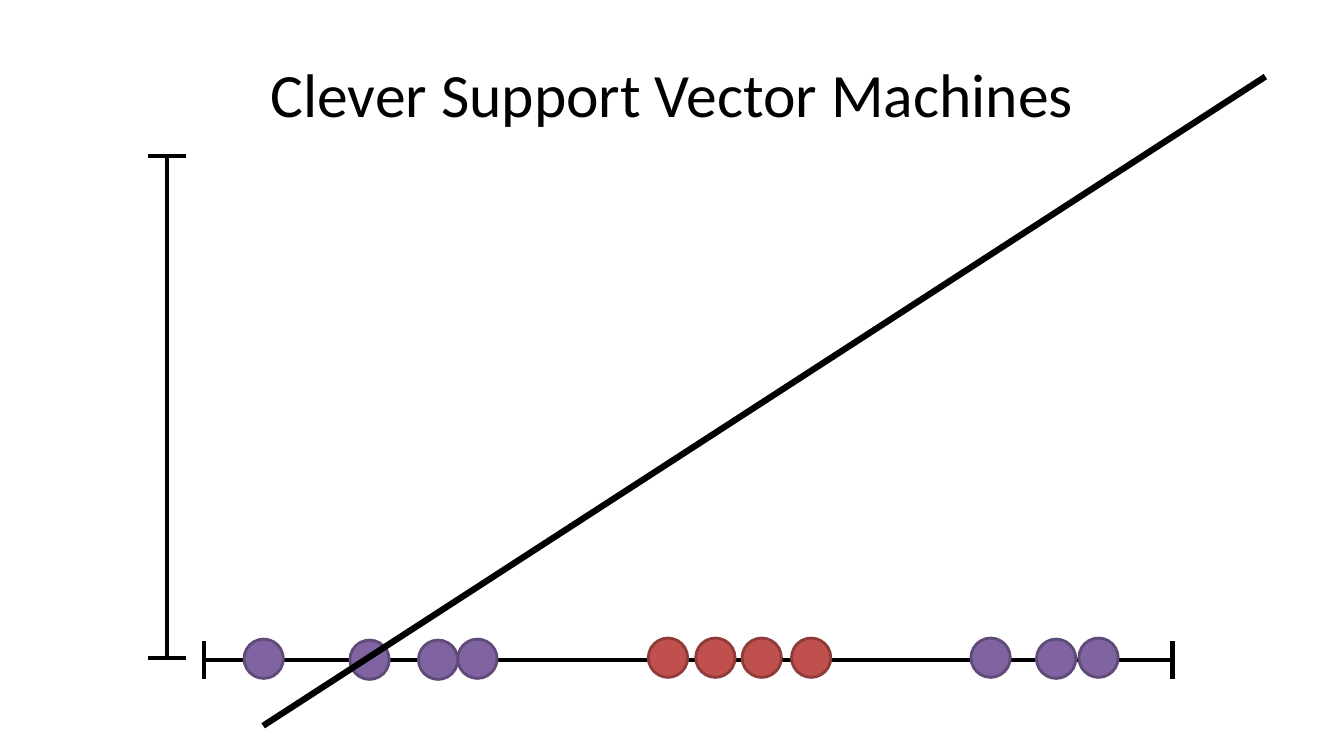
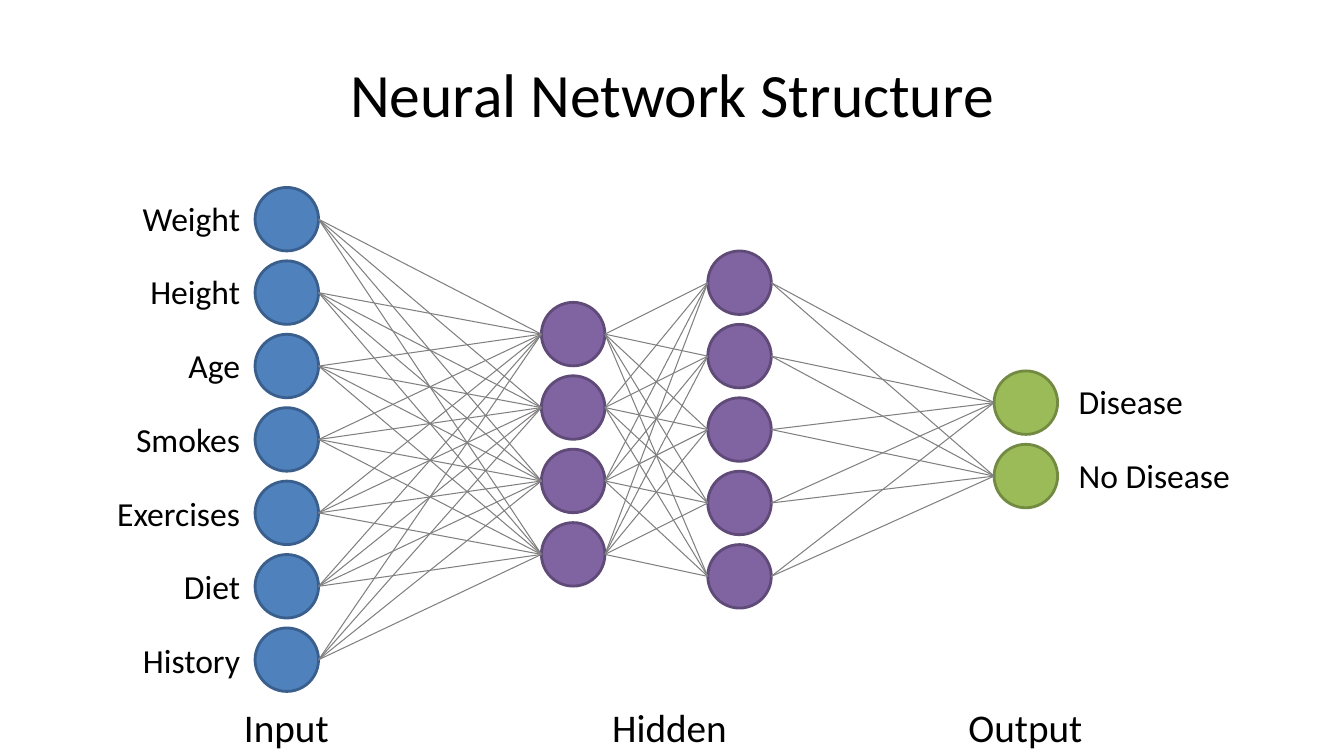
from itertools import product

from lxml import etree
from pptx import Presentation
from pptx.dml.color import RGBColor
from pptx.enum.shapes import MSO_CONNECTOR, MSO_SHAPE
from pptx.enum.text import MSO_ANCHOR, PP_ALIGN
from pptx.oxml.ns import qn
from pptx.util import Inches, Pt

STRAIGHT = MSO_CONNECTOR.STRAIGHT
OVAL = MSO_SHAPE.OVAL
MIDDLE = MSO_ANCHOR.MIDDLE
LEFT, CENTER, RIGHT = PP_ALIGN.LEFT, PP_ALIGN.CENTER, PP_ALIGN.RIGHT

# Shared look
FONT = "Calibri"
BLACK, GRAY = "000000", "808080"
BLUE = ("4F81BD", "3A5F8C")
PURPLE = ("8064A2", "5F4A78")
RED = ("C0504D", "8E3B39")
GREEN = ("9BBB59", "738A42")

# Sizes in inches
DOT = 0.39
NODE = 0.63
STEP = (6.23 - 1.86) / 6
LABEL_STEP = (6.3 - 1.91) / 6
TICK = 0.19


def color(code):
    return RGBColor.from_string(code)


def write(frame, text, size=24, align=LEFT, anchor=None, tone=BLACK):
    frame.word_wrap = True
    if anchor is not None:
        frame.vertical_anchor = anchor
    para = frame.paragraphs[0]
    para.alignment = align
    run = para.add_run()
    run.text = text
    run.font.name = FONT
    run.font.size = Pt(size)
    run.font.color.rgb = color(tone)


def label(slide, text, left, top, width, height=0.5, **style):
    box = slide.shapes.add_textbox(
        Inches(left), Inches(top), Inches(width), Inches(height))
    write(box.text_frame, text, **style)


def line(slide, start, end, width=3, tone=BLACK):
    ends = [Inches(v) for v in (*start, *end)]
    link = slide.shapes.add_connector(STRAIGHT, *ends)
    link.line.color.rgb = color(tone)
    link.line.width = Pt(width)
    etree.SubElement(link._element.spPr, qn("a:effectLst"))


def circle(slide, left, top, size, tones):
    fill, edge = tones
    shape = slide.shapes.add_shape(
        OVAL, Inches(left), Inches(top), Inches(size), Inches(size))
    shape.shadow.inherit = False
    shape.fill.solid()
    shape.fill.fore_color.rgb = color(fill)
    shape.line.color.rgb = color(edge)
    shape.line.width = Pt(2)


def axis(slide, start, end):
    """Draw a straight axis with a cross tick at each end."""
    line(slide, start, end)
    flat = start[1] == end[1]
    dx, dy = (0, TICK) if flat else (TICK, 0)
    for x, y in (start, end):
        line(slide, (x - dx, y - dy), (x + dx, y + dy))


def layer(slide, left, top, count, tones):
    """Draw a column of nodes; return its left edge and node centres."""
    tops = [top + i * STEP for i in range(count)]
    for y in tops:
        circle(slide, left, y, NODE, tones)
    return left, [y + NODE / 2 for y in tops]


def join(slide, first, second):
    """Link every node of one layer to every node of the next."""
    (x1, rows1), (x2, rows2) = first, second
    for y1, y2 in product(rows1, rows2):
        line(slide, (x1 + NODE, y1), (x2, y2), width=0.75, tone=GRAY)


def labels(slide, names, left, top, width, align):
    for i, name in enumerate(names):
        label(slide, name, left, top + i * LABEL_STEP, width, align=align)


def start(deck, title):
    slide = deck.slides.add_slide(deck.slide_layouts[5])
    write(slide.shapes.title.text_frame, title,
          size=44, align=CENTER, anchor=MIDDLE)
    return slide


def vectors(deck):
    slide = start(deck, "Clever Support Vector Machines")
    # Horizontal axis and its points
    axis(slide, (2.02, 6.55), (11.63, 6.55))
    points = [
        (PURPLE, 6.34, (2.42, 4.54, 10.28)),
        (PURPLE, 6.35, (3.47, 4.15)),
        (PURPLE, 6.33, (9.63, 10.7)),
        (RED, 6.33, (6.43, 6.9, 7.36, 7.85)),
    ]
    for tones, top, lefts in points:
        for left in lefts:
            circle(slide, left, top, DOT, tones)
    # Vertical axis and dividing line
    axis(slide, (1.66, 6.53), (1.66, 1.55))
    line(slide, (2.61, 7.2), (12.55, 0.76), width=4.5)


def network(deck):
    slide = start(deck, "Neural Network Structure")
    # Layers from left to right, then their links
    layers = [
        layer(slide, left, top, count, tones)
        for left, top, count, tones in (
            (2.53, 1.86, 7, BLUE),
            (5.37, 3, 4, PURPLE),
            (7.02, 2.49, 5, PURPLE),
            (9.86, 3.68, 2, GREEN),
        )
    ]
    for first, second in zip(layers, layers[1:]):
        join(slide, first, second)
    # Node labels
    inputs = ("Weight", "Height", "Age", "Smokes",
              "Exercises", "Diet", "History")
    labels(slide, inputs, 0.88, 1.91, 1.6, RIGHT)
    labels(slide, ("Disease", "No Disease"), 10.6, 3.73, 1.9, LEFT)
    # Layer captions
    for name, mid in (("Input", 2.84), ("Hidden", 6.64), ("Output", 10.17)):
        label(slide, name, mid - 0.75, 6.93, 1.5, 0.57,
              size=28, align=CENTER)


def main():
    deck = Presentation()
    deck.slide_width, deck.slide_height = Inches(13.33), Inches(7.5)
    # Title place shared by both slides
    title = deck.slide_layouts[5].placeholders[0]
    title.left, title.top = Inches(0.67), Inches(0.3)
    title.width, title.height = Inches(12), Inches(1.25)
    vectors(deck)
    network(deck)
    deck.save("out.pptx")


if __name__ == "__main__":
    main()
